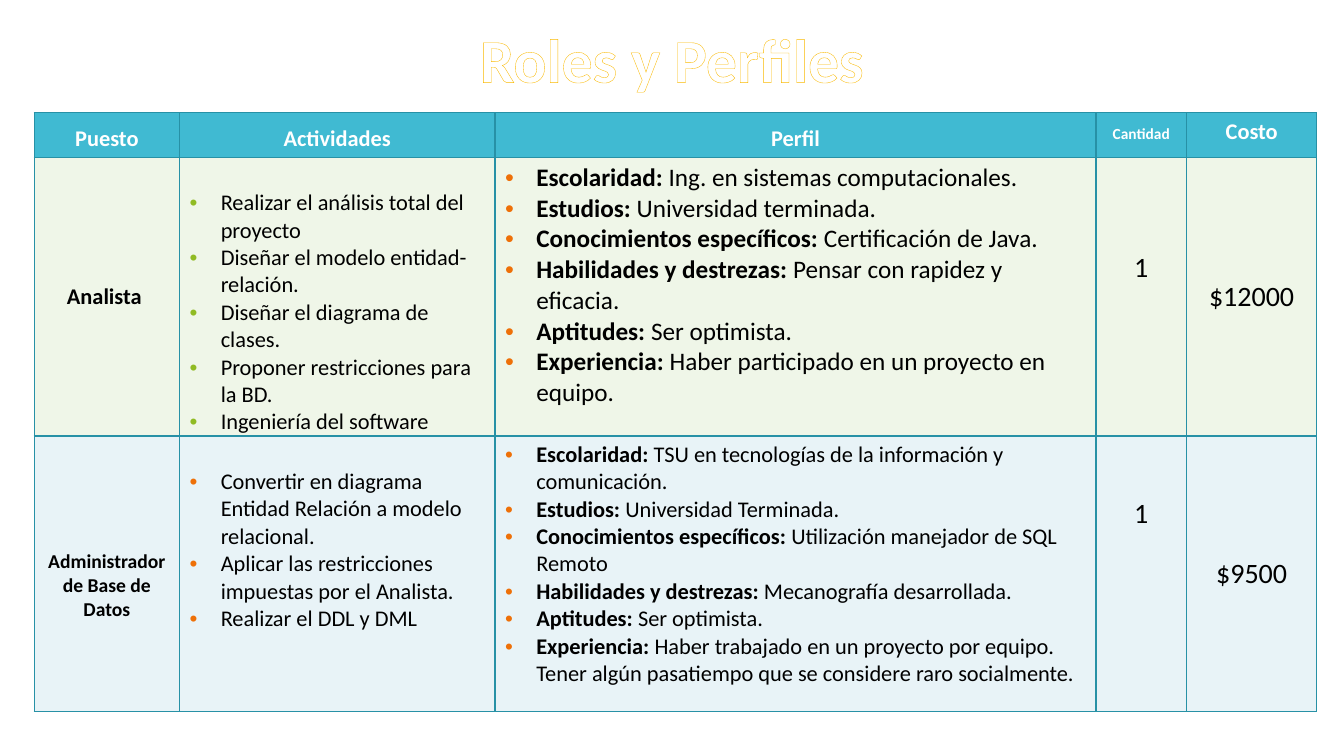
"""Build the "Roles y Perfiles" slide: a title above a table of job roles."""
from lxml import etree
from pptx import Presentation
from pptx.dml.color import RGBColor
from pptx.enum.text import MSO_ANCHOR, PP_ALIGN
from pptx.oxml.ns import qn
from pptx.util import Inches, Pt

TOP, MIDDLE = MSO_ANCHOR.TOP, MSO_ANCHOR.MIDDLE
LEFT, CENTER = PP_ALIGN.LEFT, PP_ALIGN.CENTER
FONT = "Calibri"
WHITE, BLACK, BORDER, GOLD = "FFFFFF", "000000", "2791A6", "FAB900"
GREEN, ORANGE = "90BB23", "EE7008"
ROW_FILLS = ["40BAD2", "EFF6E8", "E8F3F7"]
COLUMN_WIDTHS = [1.44, 3.13, 5.96, 0.9, 1.29]
ROW_HEIGHTS = [0.44, 2.76, 2.73]
INDENT = Inches(0.31)


def add_run(paragraph, text, size, color, bold):
    run = paragraph.add_run()
    run.text = text
    run.font.color.rgb = RGBColor.from_string(color)
    for name, value in {"name": FONT, "size": Pt(size), "bold": bold}.items():
        setattr(run.font, name, value)
    return run


def add_line(properties, position, tag, color, width):
    line = etree.Element(qn(tag), w=str(Pt(width)))
    fill = etree.SubElement(line, qn("a:solidFill"))
    etree.SubElement(fill, qn("a:srgbClr"), val=color)
    properties.insert(position, line)


def header(text, size=16, top=0.12):
    return {"lines": [("", text)], "size": size, "top": top, "color": WHITE, "bold": True}


def role(text, size, top):
    return {"lines": [("", text)], "size": size, "top": top, "bold": True, "anchor": MIDDLE}


def_center = {"size": 20, "bold": False}
cells = [
    [header("Puesto"), header("Actividades"), header("Perfil"),
     header("Cantidad", 11), header("Costo", top=0.05)],
    [
        role("Analista ", 16, 0),
        {"bullet": GREEN, "size": 16, "top": 0.32, "lines": [
            ("", "Realizar el análisis total del proyecto"),
            ("", "Diseñar el modelo entidad-relación."),
            ("", "Diseñar el diagrama de clases."),
            ("", "Proponer restricciones para la BD. "),
            ("", "Ingeniería del software")]},
        {"bullet": ORANGE, "size": 18, "top": 0.05, "lines": [
            ("Escolaridad: ", "Ing. en sistemas computacionales."),
            ("Estudios: ", "Universidad terminada."),
            ("Conocimientos específicos: ", "Certificación de Java."),
            ("Habilidades y destrezas: ", "Pensar con rapidez y eficacia."),
            ("Aptitudes: ", "Ser optimista."),
            ("Experiencia: ", "Haber participado en un proyecto en equipo.")]},
        {"lines": [("", "1")], "size": 20, "top": 0.93},
        {"lines": [("", "$12000")], "size": 20, "top": 0, "anchor": MIDDLE},
    ],
    [
        role("Administrador de Base de Datos", 14, 0.24),
        {"bullet": ORANGE, "size": 16, "top": 0.32, "lines": [
            ("", "Convertir en diagrama Entidad Relación a modelo relacional."),
            ("", "Aplicar las restricciones impuestas por el Analista."),
            ("", "Realizar el DDL y DML")]},
        {"bullet": ORANGE, "size": 16, "top": 0.05, "lines": [
            ("Escolaridad: ", "TSU en tecnologías de la información y comunicación. "),
            ("Estudios: ", "Universidad Terminada."),
            ("Conocimientos específicos: ", "Utilización manejador de SQL Remoto "),
            ("Habilidades y destrezas: ", "Mecanografía desarrollada."),
            ("Aptitudes: ", "Ser optimista."),
            ("Experiencia: ", "Haber trabajado en un proyecto por equipo. "
             "Tener algún pasatiempo que se considere raro socialmente.")]},
        {"lines": [("", "1")], "size": 20, "top": 0.6},
        {"lines": [("", "$9500")], "size": 20, "top": 0, "anchor": MIDDLE},
    ],
]

presentation = Presentation()
presentation.slide_width, presentation.slide_height = Inches(13.33), Inches(7.5)
slide = presentation.slides.add_slide(presentation.slide_layouts[6])

table = slide.shapes.add_table(
    len(ROW_HEIGHTS), len(COLUMN_WIDTHS), Inches(0.34), Inches(1.12),
    Inches(sum(COLUMN_WIDTHS)), Inches(sum(ROW_HEIGHTS))).table
table.horz_banding = False
for column, width in zip(table.columns, COLUMN_WIDTHS):
    column.width = Inches(width)
for row, height in zip(table.rows, ROW_HEIGHTS):
    row.height = Inches(height)

for row, contents, fill in zip(table.rows, cells, ROW_FILLS):
    for cell, content in zip(row.cells, contents):
        cell.fill.solid()
        cell.fill.fore_color.rgb = RGBColor.from_string(fill)
        layout = {"margin_left": Inches(0.1), "margin_right": Inches(0.1),
                  "margin_top": Inches(content["top"]), "margin_bottom": 0,
                  "vertical_anchor": content.get("anchor", TOP)}
        for name, value in layout.items():
            setattr(cell, name, value)
        for position, tag in enumerate(["a:lnL", "a:lnR", "a:lnT", "a:lnB"]):
            add_line(cell._tc.get_or_add_tcPr(), position, tag, BORDER, 1)

        bullet = content.get("bullet")
        color = content.get("color", BLACK)
        for index, (label, text) in enumerate(content["lines"]):
            frame = cell.text_frame
            paragraph = frame.add_paragraph() if index else frame.paragraphs[0]
            paragraph.alignment = LEFT if bullet else CENTER
            if bullet:
                properties = paragraph._p.get_or_add_pPr()
                properties.set("marL", str(INDENT))
                properties.set("indent", str(-INDENT))
                bullet_color = etree.SubElement(properties, qn("a:buClr"))
                etree.SubElement(bullet_color, qn("a:srgbClr"), val=bullet)
                etree.SubElement(properties, qn("a:buFont"), typeface="Arial")
                etree.SubElement(properties, qn("a:buChar"), char="•")
            if label:
                add_run(paragraph, label, content["size"], color, True)
            add_run(paragraph, text, content["size"], color, content.get("bold", False))

title = slide.shapes.add_textbox(Inches(3.37), Inches(0.16), Inches(6.59), Inches(0.84))
title.text_frame.word_wrap = True
title_paragraph = title.text_frame.paragraphs[0]
title_paragraph.alignment = CENTER
title_run = add_run(title_paragraph, "Roles y Perfiles", 44, WHITE, True)
add_line(title_run._r.get_or_add_rPr(), 0, "a:ln", GOLD, 0.52)

presentation.save("out.pptx")
